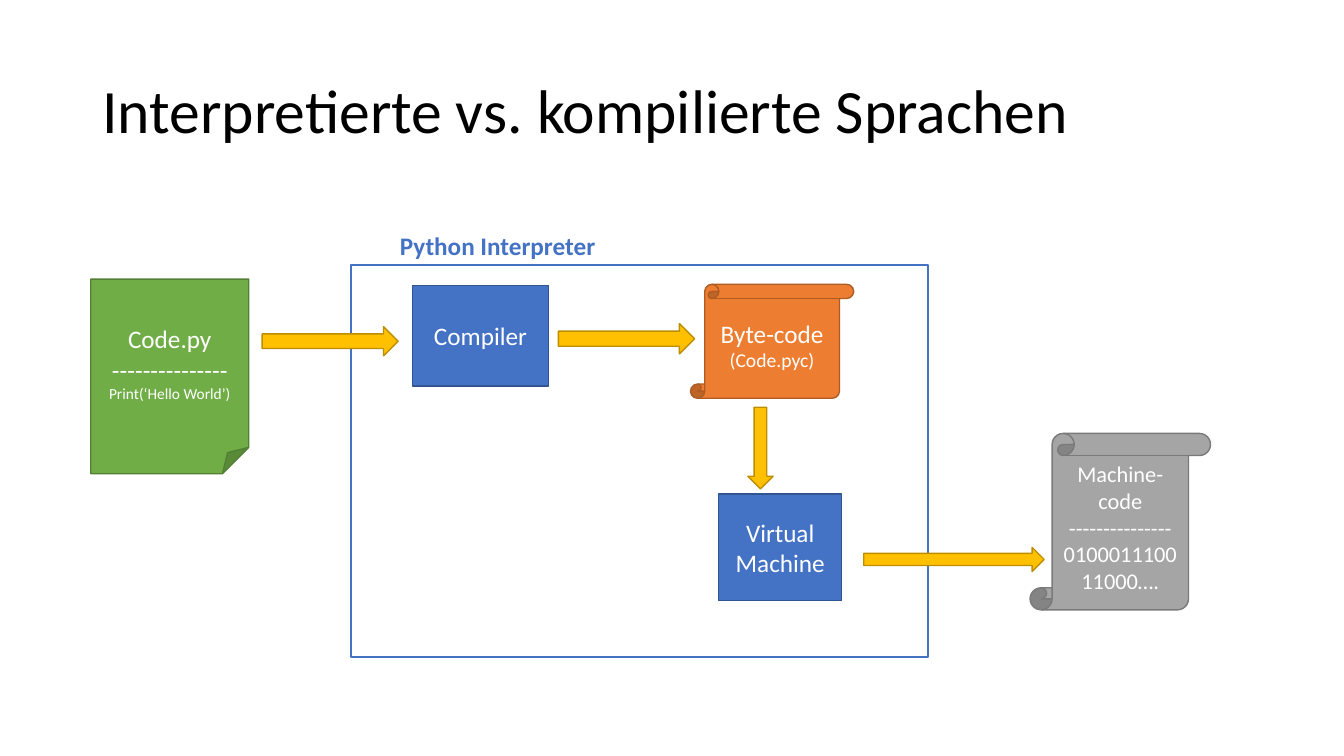
from dataclasses import dataclass

from pptx import Presentation
from pptx.dml.color import RGBColor
from pptx.enum.shapes import MSO_SHAPE
from pptx.enum.text import MSO_ANCHOR, PP_ALIGN
from pptx.util import Pt


@dataclass(frozen=True)
class Theme:
    font: str = "Calibri"
    black: str = "000000"
    white: str = "FFFFFF"
    blue: str = "4472C4"
    blue_edge: str = "325491"
    green: str = "70AD47"
    green_edge: str = "538035"
    orange: str = "ED7D31"
    orange_edge: str = "AF5C24"
    gray: str = "A5A5A5"
    gray_edge: str = "7A7A7A"
    gold: str = "FFC000"
    gold_edge: str = "BD8E00"
    title: float = 44
    body: float = 18
    compact: float = 16
    detail: float = 14
    code: float = 11
    edge: float = 1
    frame: float = 1.5


THEME = Theme()


@dataclass(frozen=True)
class Box:
    left: float
    top: float
    width: float
    height: float

    def inner(self, left, top, width, height):
        """Return a box whose offset is measured from this box's corner."""
        return Box(self.left + left, self.top + top, width, height)

    def lengths(self):
        return [Pt(value) for value in (self.left, self.top, self.width, self.height)]


def write(frame, lines, color, align, bold=False):
    """Write (text, size) pairs as one paragraph each."""
    frame.word_wrap = True
    for index, (text, size) in enumerate(lines):
        para = frame.paragraphs[0] if index == 0 else frame.add_paragraph()
        para.alignment = align
        span = para.add_run()
        span.text = text
        span.font.color.rgb = RGBColor.from_string(color)
        for name, value in {"name": THEME.font, "size": Pt(size), "bold": bold}.items():
            setattr(span.font, name, value)


def add_block(slide, kind, box, fill, edge, lines=(), weight=THEME.edge):
    block = slide.shapes.add_shape(kind, *box.lengths())
    block.shadow.inherit = False
    block.fill.solid()
    block.fill.fore_color.rgb = RGBColor.from_string(fill)
    block.line.color.rgb = RGBColor.from_string(edge)
    block.line.width = Pt(weight)
    block.text_frame.vertical_anchor = MSO_ANCHOR.MIDDLE
    write(block.text_frame, lines, THEME.white, PP_ALIGN.CENTER)


def add_arrow(slide, box, kind=MSO_SHAPE.RIGHT_ARROW):
    add_block(slide, kind, box, THEME.gold, THEME.gold_edge)


def add_title(slide, box, text):
    title = slide.shapes.title
    bounds = dict(zip(("left", "top", "width", "height"), box.lengths()))
    for name, value in bounds.items():
        setattr(title, name, value)
    title.text_frame.vertical_anchor = MSO_ANCHOR.MIDDLE
    write(title.text_frame, [(text, THEME.title)], THEME.black, PP_ALIGN.LEFT)
    title.text_frame.paragraphs[0].line_spacing = 0.9


def add_source_code(slide, box):
    lines = [("Code.py", THEME.body), ("-" * 15, THEME.body),
             ("Print(‘Hello World’)", THEME.code)]
    add_block(slide, MSO_SHAPE.FOLDED_CORNER, box, THEME.green, THEME.green_edge, lines)


def add_interpreter(slide, box):
    """Draw the frame with its label, compiler, byte-code and virtual machine."""
    add_block(slide, MSO_SHAPE.RECTANGLE, box, THEME.white, THEME.blue,
              weight=THEME.frame)
    steps = [("Compiler", box.inner(44, 14.4, 97.2, 72)),
             ("Virtual Machine", box.inner(262.8, 163.4, 87.8, 76.3))]
    for name, step_box in steps:
        add_block(slide, MSO_SHAPE.RECTANGLE, step_box, THEME.blue, THEME.blue_edge,
                  [(name, THEME.body)])
    add_block(slide, MSO_SHAPE.VERTICAL_SCROLL, box.inner(242.6, 13.7, 116.6, 81.4),
              THEME.orange, THEME.orange_edge,
              [("Byte-code", THEME.body), ("(Code.pyc)", THEME.detail)])
    add_arrow(slide, box.inner(148.3, 41.8, 97.2, 21.6))
    add_arrow(slide, box.inner(283.6, 101.5, 18, 58.3), MSO_SHAPE.DOWN_ARROW)
    label = slide.shapes.add_textbox(*box.inner(28, -28.1, 211, 28.8).lengths())
    write(label.text_frame, [("Python Interpreter", THEME.body)], THEME.blue,
          PP_ALIGN.LEFT, bold=True)


def add_machine_code(slide, box):
    lines = [(text, THEME.compact)
             for text in ("Machine-code", "-" * 15, "010001110011000….")]
    add_block(slide, MSO_SHAPE.VERTICAL_SCROLL, box, THEME.gray, THEME.gray_edge, lines)


def main():
    deck = Presentation()
    deck.slide_width, deck.slide_height = Pt(960), Pt(540)
    slide = deck.slides.add_slide(deck.slide_layouts[5])
    add_title(slide, Box(66, 28.8, 828, 104.4), "Interpretierte vs. kompilierte Sprachen")
    add_source_code(slide, Box(64.8, 199.4, 112.9, 139))
    add_interpreter(slide, Box(250.6, 189.4, 412.6, 280))
    add_machine_code(slide, Box(735.8, 309.6, 128.9, 126))
    add_arrow(slide, Box(187.2, 233.3, 97.2, 20.9))
    add_arrow(slide, Box(617, 391, 128.9, 17.3))
    deck.save("out.pptx")


if __name__ == "__main__":
    main()
